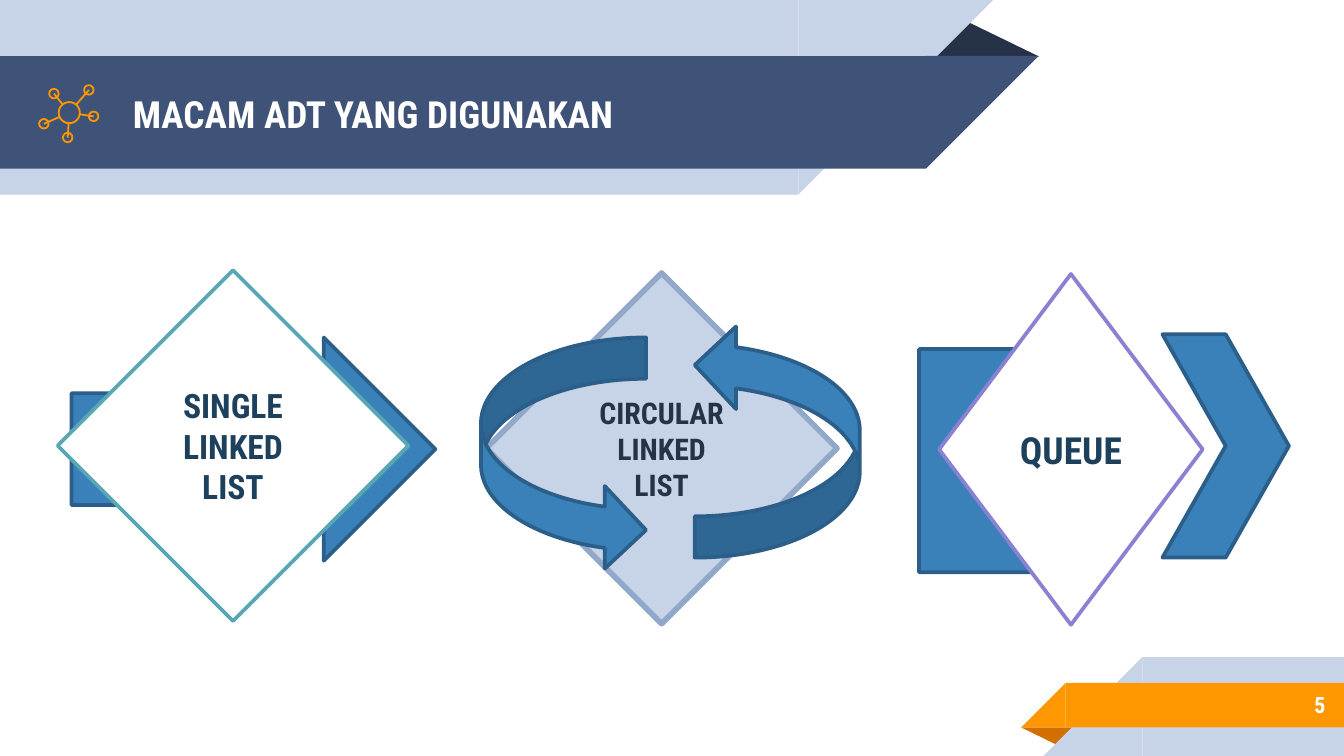
import math
import pptx
import pptx.util
import pptx.dml.color
import pptx.enum.shapes
import pptx.enum.text
import pptx.oxml.ns
import lxml.etree

Cm, Pt = pptx.util.Cm, pptx.util.Pt
RGB = pptx.dml.color.RGBColor.from_string
KIND = pptx.enum.shapes.MSO_SHAPE
ALIGN = pptx.enum.text.PP_ALIGN
FONT = "Roboto Condensed"
COLORS = {
    "navy": "3F5378", "ink": "263248", "mist": "C7D3E6", "mist edge": "92A8C8",
    "orange": "FF9800", "rust": "D26F00", "white": "FFFFFF",
    "blue": "3A81BA", "blue edge": "2B5F8A", "label": "1D405D",
    "teal": "57A7B5", "violet": "8B81D2",
}

deck = pptx.Presentation()
deck.slide_width, deck.slide_height = Cm(25.4), Cm(14.29)
slide = deck.slides.add_slide(deck.slide_layouts[5])
shapes = slide.shapes


def add_figure(kind, box, fill=None, edge=None, width=2):
    figure = shapes.add_shape(kind, *[Cm(length) for length in box])
    figure.shadow.inherit = False
    if fill:
        figure.fill.solid()
        figure.fill.fore_color.rgb = RGB(COLORS[fill])
    else:
        figure.fill.background()
    if edge:
        figure.line.color.rgb = RGB(COLORS[edge])
        figure.line.width = Pt(width)
    else:
        figure.line.fill.background()
    return figure


def write(holder, text, size, color, align):
    frame = holder.text_frame
    frame.word_wrap = True
    frame.auto_size = pptx.enum.text.MSO_AUTO_SIZE.NONE
    frame.vertical_anchor = pptx.enum.text.MSO_ANCHOR.MIDDLE
    frame.margin_left = frame.margin_right = Cm(0.25)
    frame.margin_top = frame.margin_bottom = Cm(0.25)
    paragraph = frame.paragraphs[0]
    paragraph.alignment = align
    run = paragraph.add_run()
    run.text = text
    run.font.name = FONT
    run.font.size = Pt(size)
    run.font.bold = True
    run.font.color.rgb = RGB(COLORS[color])


# Folded corners and slanted bands: top banner, then page-number ribbon
banner_fold = add_figure(KIND.ISOSCELES_TRIANGLE, (17.48, 0.36, 2.16, 0.71), "ink")
banner_fold.adjustments[0] = 0.324
for left, top, length, height, color in [
    (0, 0, 15.09, 3.68, "mist"),
    (0, 1.06, 17.5, 2.13, "navy"),
]:
    add_figure(KIND.RECTANGLE, (left, top, length, height), color)
    slant = add_figure(KIND.RIGHT_TRIANGLE, (left + length, top, height, height), color)
    slant.element.spPr.xfrm.set("flipV", "1")

ribbon_fold = add_figure(KIND.ISOSCELES_TRIANGLE, (19.3, 13.75, 1.09, 0.36), "rust")
ribbon_fold.adjustments[0] = 0.324
ribbon_fold.rotation = 180
for left, top, length, height, color in [
    (21.59, 12.42, 3.81, 1.87, "mist"),
    (20.14, 12.91, 5.26, 0.84, "orange"),
]:
    add_figure(KIND.RECTANGLE, (left, top, length, height), color)
    slant = add_figure(KIND.RIGHT_TRIANGLE, (left - height, top, height, height), color)
    slant.element.spPr.xfrm.set("flipH", "1")

# Arrows behind the diamonds
add_figure(KIND.PENTAGON, (17.37, 6.6, 4.95, 4.22), "blue", "blue edge")
add_figure(KIND.RIGHT_ARROW, (1.35, 6.38, 6.88, 4.22), "blue", "blue edge")

# Title, raised above the banner
title = shapes.title
title.left, title.top, title.width, title.height = Cm(2.26), Cm(1.09), Cm(14.6), Cm(2.13)
write(title, "MACAM ADT YANG DIGUNAKAN", 20, "white", ALIGN.LEFT)
shapes.element.append(title.element)

# Page number
page_number = shapes.add_textbox(Cm(21.16), Cm(12.88), Cm(4.14), Cm(0.89))
write(page_number, "5", 12, "white", ALIGN.RIGHT)

# One diamond per data structure
for name, box, fill, edge, width, size, color in [
    ("CIRCULAR LINKED LIST", (9.19, 5.16, 6.63, 6.63), "mist", "mist edge", 3, 16, "ink"),
    ("SINGLE LINKED LIST", (1.09, 5.11, 6.63, 6.63), "white", "teal", 2, 18, "label"),
    ("QUEUE", (17.75, 5.18, 4.98, 6.63), "white", "violet", 2, 20, "label"),
]:
    diamond = add_figure(KIND.DIAMOND, box, fill, edge, width)
    write(diamond, name, size, color, ALIGN.CENTER)

# Network icon: hub, nodes and the spokes between them
hub_x, hub_y, hub_radius, node_radius = 1.31, 2.13, 0.2, 0.09
add_figure(KIND.OVAL, (hub_x - hub_radius, hub_y - hub_radius, 2 * hub_radius, 2 * hub_radius),
           edge="orange", width=0.96)
for x, y in [(1.68, 1.7), (1.02, 1.77), (0.83, 2.34), (1.28, 2.6), (1.77, 2.2)]:
    add_figure(KIND.OVAL, (x - node_radius, y - node_radius, 2 * node_radius, 2 * node_radius),
               edge="orange", width=0.96)
    angle = math.atan2(y - hub_y, x - hub_x)
    spoke = shapes.add_connector(
        pptx.enum.shapes.MSO_CONNECTOR.STRAIGHT, Cm(x), Cm(y),
        Cm(hub_x + hub_radius * math.cos(angle)), Cm(hub_y + hub_radius * math.sin(angle)))
    spoke.line.color.rgb = RGB(COLORS["orange"])
    spoke.line.width = Pt(0.96)
    lxml.etree.SubElement(spoke.element.spPr, pptx.oxml.ns.qn("a:effectLst"))

# Arrows in front: the circular pair and the queue's exit
for left, top, turn in [(9.09, 6.38, 0), (13.13, 6.12, 180)]:
    loop_arrow = add_figure(KIND.CURVED_RIGHT_ARROW, (left, top, 3.12, 4.42), "blue", "blue edge")
    loop_arrow.rotation = turn
add_figure(KIND.CHEVRON, (21.97, 6.32, 2.39, 4.22), "blue", "blue edge")

deck.save("out.pptx")
